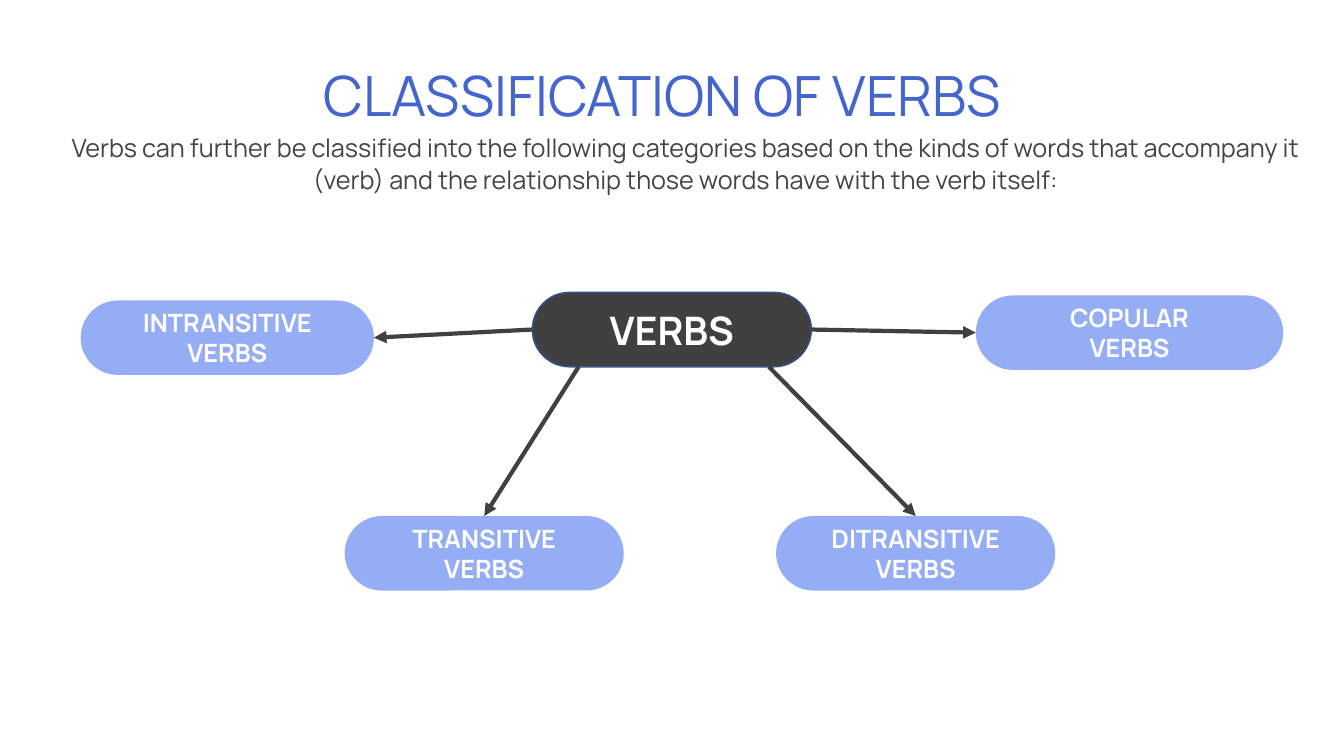
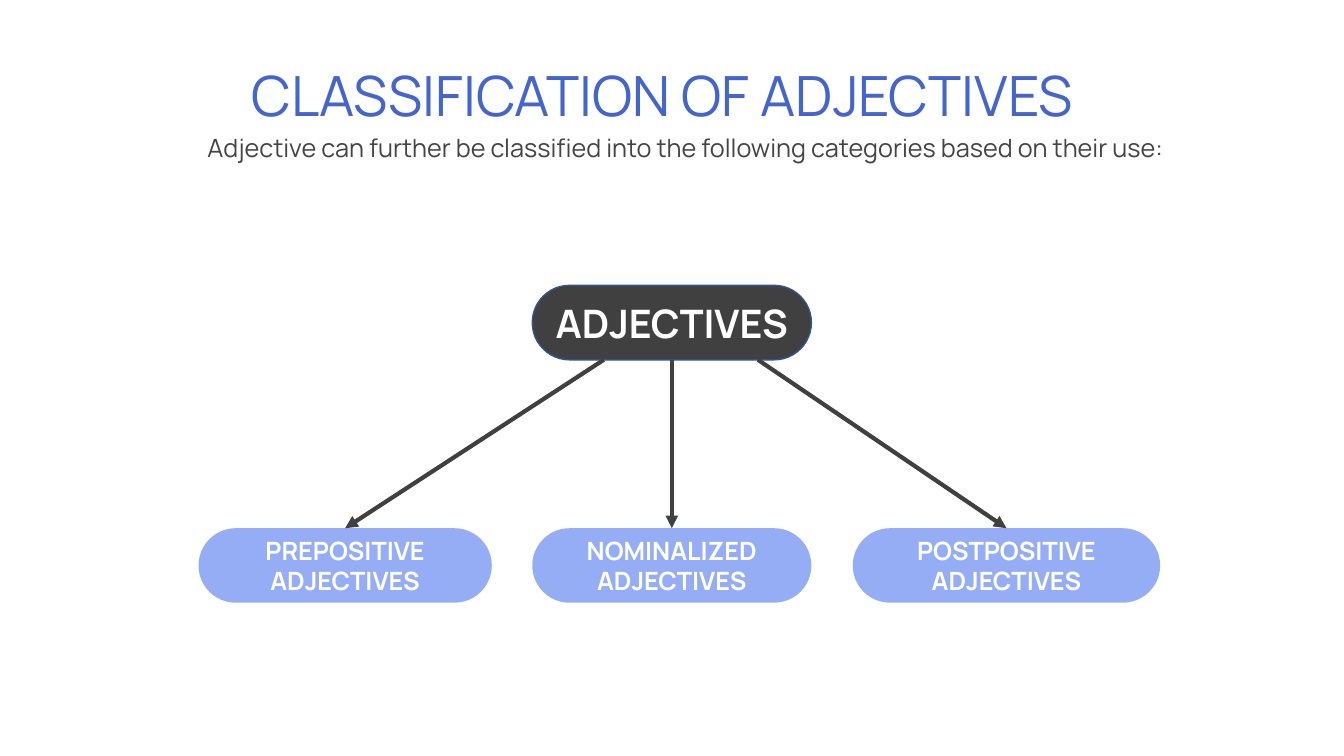
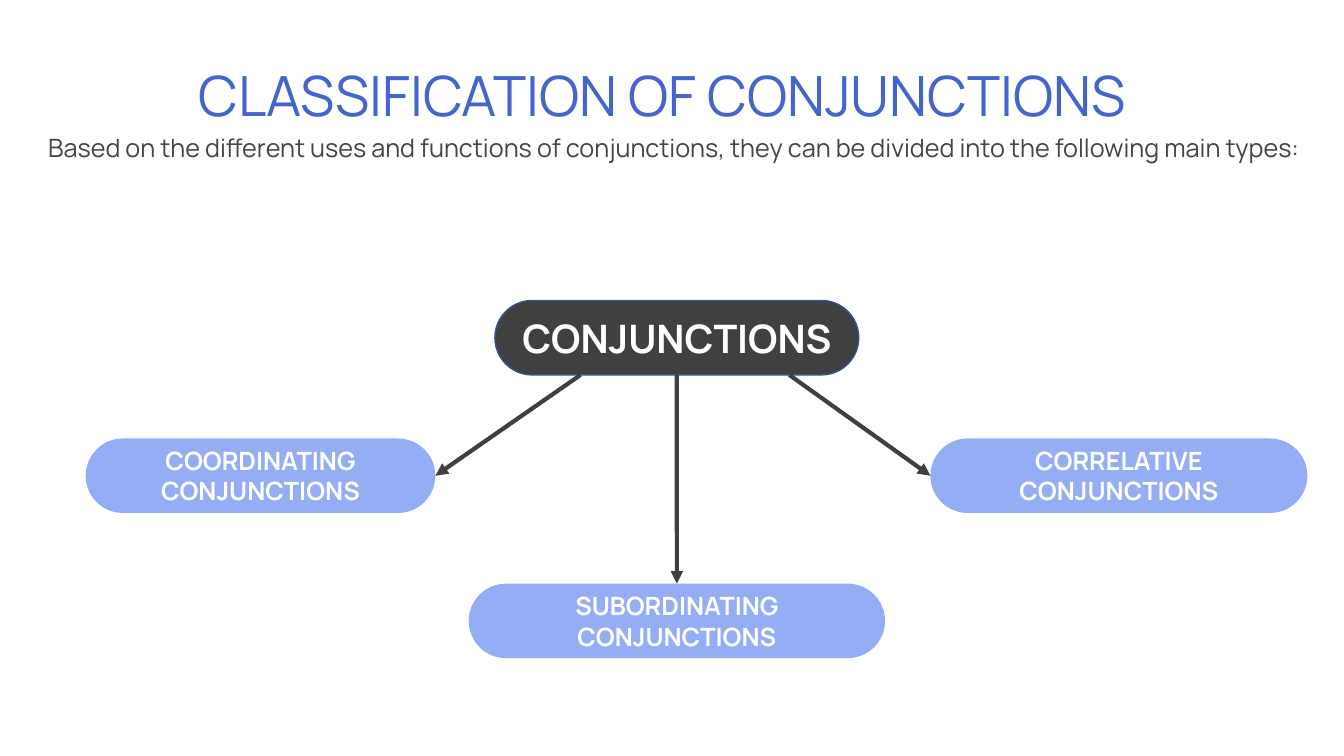
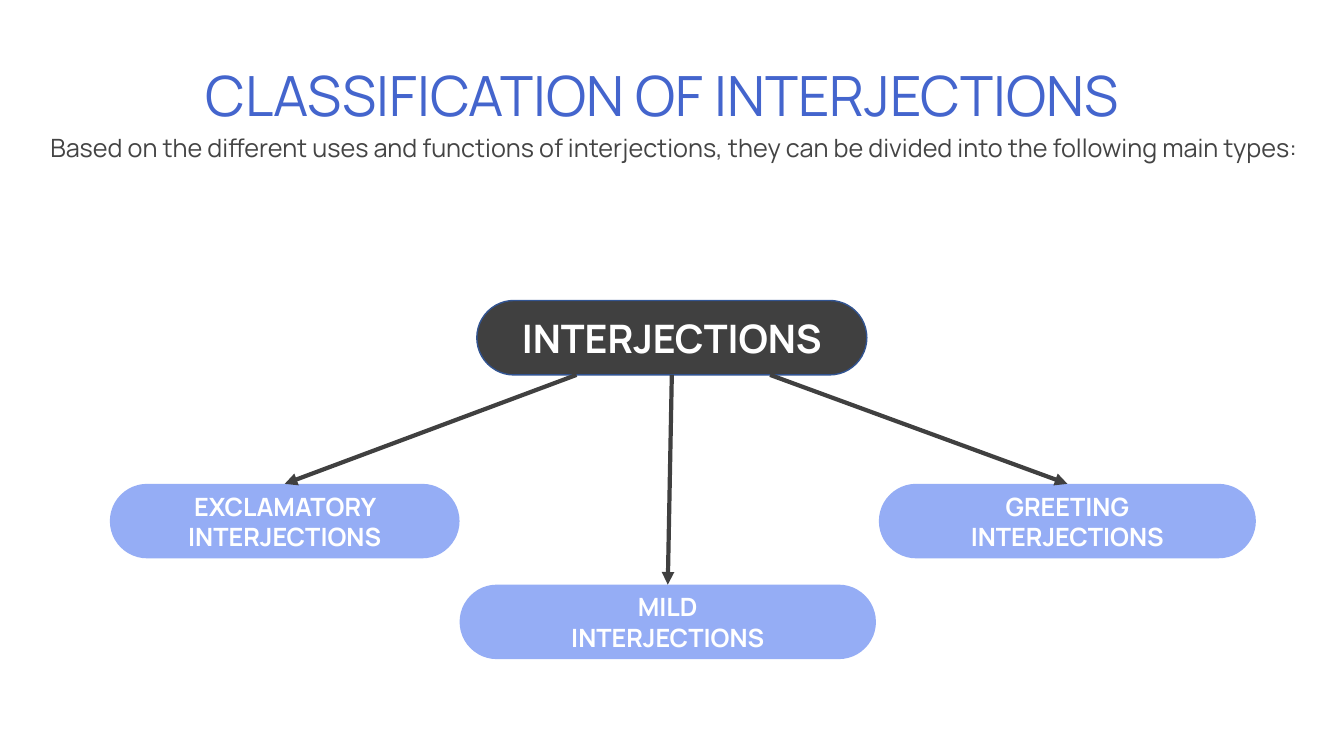
"""Build four slides that classify parts of speech as branching diagrams."""
from dataclasses import dataclass

from lxml.etree import SubElement
from pptx import Presentation
from pptx.dml.color import RGBColor
from pptx.enum.shapes import MSO_CONNECTOR, MSO_SHAPE
from pptx.enum.text import MSO_ANCHOR, MSO_AUTO_SIZE, PP_ALIGN
from pptx.oxml.ns import qn
from pptx.util import Pt

TOP, LEFT, BOTTOM, RIGHT = range(4)


@dataclass(frozen=True)
class Theme:
    font: str = "Manrope"
    title_color: RGBColor = RGBColor.from_string("4465CD")
    lead_color: RGBColor = RGBColor.from_string("444444")
    dark: RGBColor = RGBColor.from_string("404040")
    hub_edge: RGBColor = RGBColor.from_string("325491")
    branch_fill: RGBColor = RGBColor.from_string("95ADF5")
    white: RGBColor = RGBColor.from_string("FFFFFF")
    title_size: float = 39.6
    hub_size: float = 28
    text_size: float = 18
    arrow_width: float = 3
    pill_height: float = 53.2


THEME = Theme()
TITLE_BOX = (52.6, 43.9, 841, 53.3)

# Each branch: lines, (left, top, width), start, end side.
# A start is ("side", hub side) or ("edge", x along the hub's lower edge).
SLIDES = [
    {
        "title": "CLASSIFICATION OF VERBS",
        "lead": "Verbs can further be classified into the following categories based on the kinds of words "
                "that accompany it (verb) and the relationship those words have with the verb itself:",
        "lead_box": (43.2, 89.3, 892.8, 53.3),
        "hub": ("VERBS", (380.2, 208.8, 199.4)),
        "branches": [
            (["INTRANSITIVE", "VERBS"], (57.6, 214.6, 209.5), ("side", LEFT), RIGHT),
            (["TRANSITIVE", "VERBS"], (246.2, 368.6, 199.4), ("edge", 413.3), TOP),
            (["DITRANSITIVE", "VERBS"], (554.4, 368.6, 199.4), ("edge", 549.2), TOP),
            (["COPULAR", "VERBS"], (697, 211, 219.6), ("side", RIGHT), LEFT),
        ],
    },
    {
        "title": "CLASSIFICATION OF ADJECTIVES",
        "lead": "Adjective can further be classified into the following categories based on their use:",
        "lead_box": (43.2, 89.3, 892.8, 29.5),
        "hub": ("ADJECTIVES", (380.2, 203.8, 199.4)),
        "branches": [
            (["PREPOSITIVE", "ADJECTIVES"], (141.8, 377.3, 209.5), ("edge", 431.3), TOP),
            (["NOMINALIZED", "ADJECTIVES"], (380.2, 377.3, 199.4), ("side", BOTTOM), TOP),
            (["POSTPOSITIVE", "ADJECTIVES"], (609.1, 377.3, 219.6), ("edge", 541.4), TOP),
        ],
    },
    {
        "title": "CLASSIFICATION OF CONJUNCTIONS",
        "lead": "Based on the different uses and functions of conjunctions, they can be divided into the "
                "following main types:",
        "lead_box": (24.5, 89.3, 913.7, 53.3),
        "hub": ("CONJUNCTIONS", (353.5, 214.6, 259.9)),
        "branches": [
            (["COORDINATING CONJUNCTIONS"], (61.2, 313.2, 249.8), ("edge", 414.7), RIGHT),
            (["SUBORDINATING CONJUNCTIONS"], (334.8, 416.9, 297.4), ("side", BOTTOM), TOP),
            (["CORRELATIVE CONJUNCTIONS"], (664.6, 313.2, 269.3), ("edge", 563.8), LEFT),
        ],
    },
    {
        "title": "CLASSIFICATION OF INTERJECTIONS",
        "lead": "Based on the different uses and functions of interjections, they can be divided into the "
                "following main types:",
        "lead_box": (24.5, 89.3, 913.7, 53.3),
        "hub": ("INTERJECTIONS", (340.6, 214.6, 278.6)),
        "branches": [
            (["EXCLAMATORY INTERJECTIONS"], (78.5, 345.6, 249.8), ("edge", 411.8), TOP),
            (["MILD", "INTERJECTIONS"], (328.3, 417.6, 297.4), ("side", BOTTOM), TOP),
            (["GREETING", "INTERJECTIONS"], (627.8, 345.6, 269.3), ("edge", 550.1), TOP),
        ],
    },
]


def write(frame, lines, size, color, bold=False, spacing=None, after=None):
    frame.word_wrap = True
    for index, line in enumerate(lines):
        para = frame.add_paragraph() if index else frame.paragraphs[0]
        para.alignment = PP_ALIGN.CENTER
        if spacing:
            para.line_spacing = spacing
        if after:
            para.space_after = Pt(after)
        span = para.add_run()
        span.text = line
        span.font.name = THEME.font
        span.font.size = Pt(size)
        span.font.bold = bold
        span.font.color.rgb = color


def add_heading(page, title, lead, lead_box):
    frame = page.shapes.add_textbox(*map(Pt, TITLE_BOX)).text_frame
    frame.vertical_anchor = MSO_ANCHOR.MIDDLE
    write(frame, [title], THEME.title_size, THEME.title_color, spacing=0.9)
    frame = page.shapes.add_textbox(*map(Pt, lead_box)).text_frame
    write(frame, [lead], THEME.text_size, THEME.lead_color, spacing=1.07, after=8)
    frame.auto_size = MSO_AUTO_SIZE.SHAPE_TO_FIT_TEXT


def add_pill(page, lines, place, fill, size, edge=None):
    pill = page.shapes.add_shape(
        MSO_SHAPE.ROUNDED_RECTANGLE, *map(Pt, place), Pt(THEME.pill_height))
    pill.adjustments[0] = 0.5
    pill.shadow.inherit = False
    pill.fill.solid()
    pill.fill.fore_color.rgb = fill
    if edge:
        pill.line.color.rgb = edge
        pill.line.width = Pt(1)
    else:
        pill.line.fill.background()
    pill.text_frame.vertical_anchor = MSO_ANCHOR.MIDDLE
    write(pill.text_frame, lines, size, THEME.white, bold=True)
    return pill


def add_arrow(page, hub, branch, start, end_side):
    kind, value = start
    start_x = Pt(value) if kind == "edge" else hub.left
    arrow = page.shapes.add_connector(
        MSO_CONNECTOR.STRAIGHT, start_x, hub.top + hub.height, branch.left, branch.top)
    if kind == "side":
        arrow.begin_connect(hub, value)
    arrow.end_connect(branch, end_side)
    arrow.line.color.rgb = THEME.dark
    arrow.line.width = Pt(THEME.arrow_width)
    SubElement(arrow.line._get_or_add_ln(), qn("a:tailEnd"), type="triangle")
    SubElement(arrow._element.spPr, qn("a:effectLst"))


def add_diagram(page, hub, branches):
    word, place = hub
    hub_pill = add_pill(page, [word], place, THEME.dark, THEME.hub_size, THEME.hub_edge)
    for lines, place, start, end_side in branches:
        branch = add_pill(page, lines, place, THEME.branch_fill, THEME.text_size)
        add_arrow(page, hub_pill, branch, start, end_side)


def main():
    deck = Presentation()
    deck.slide_width, deck.slide_height = Pt(960), Pt(540)
    for content in SLIDES:
        page = deck.slides.add_slide(deck.slide_layouts[6])
        add_heading(page, content["title"], content["lead"], content["lead_box"])
        add_diagram(page, content["hub"], content["branches"])
    deck.save("out.pptx")


if __name__ == "__main__":
    main()
